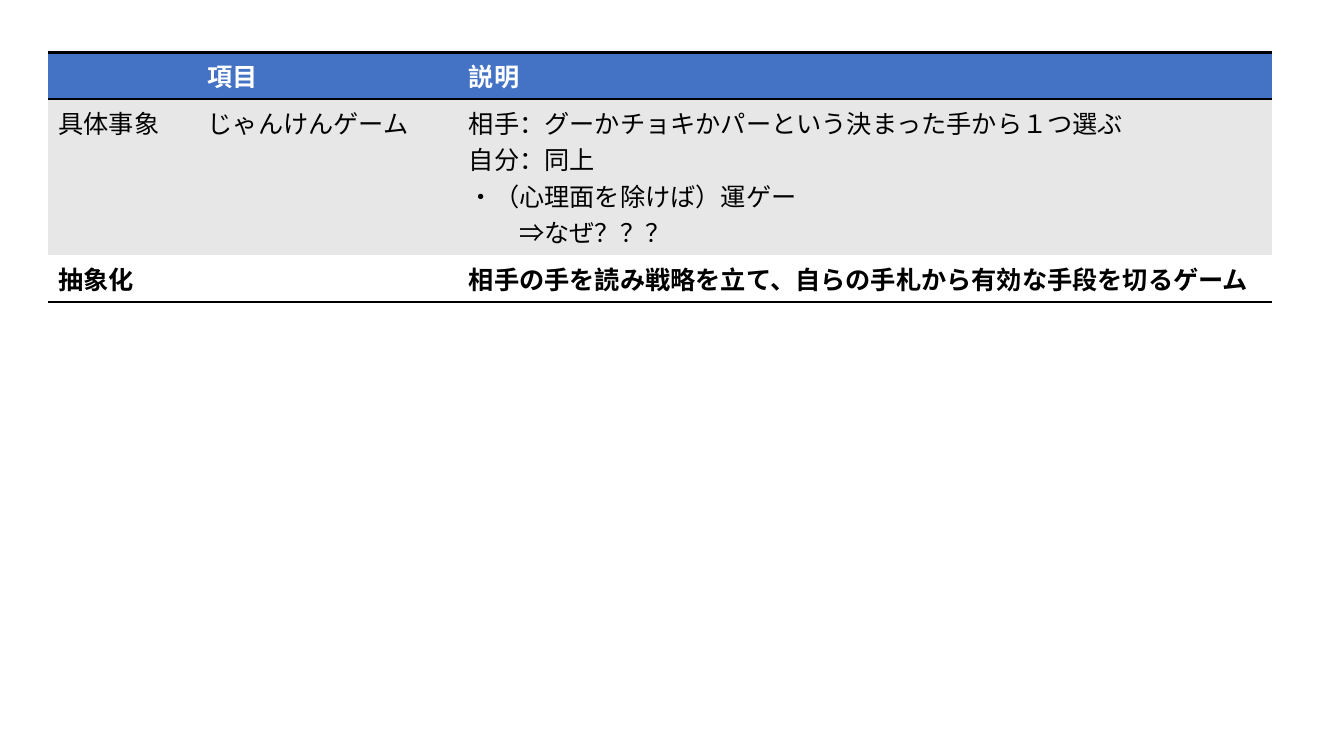
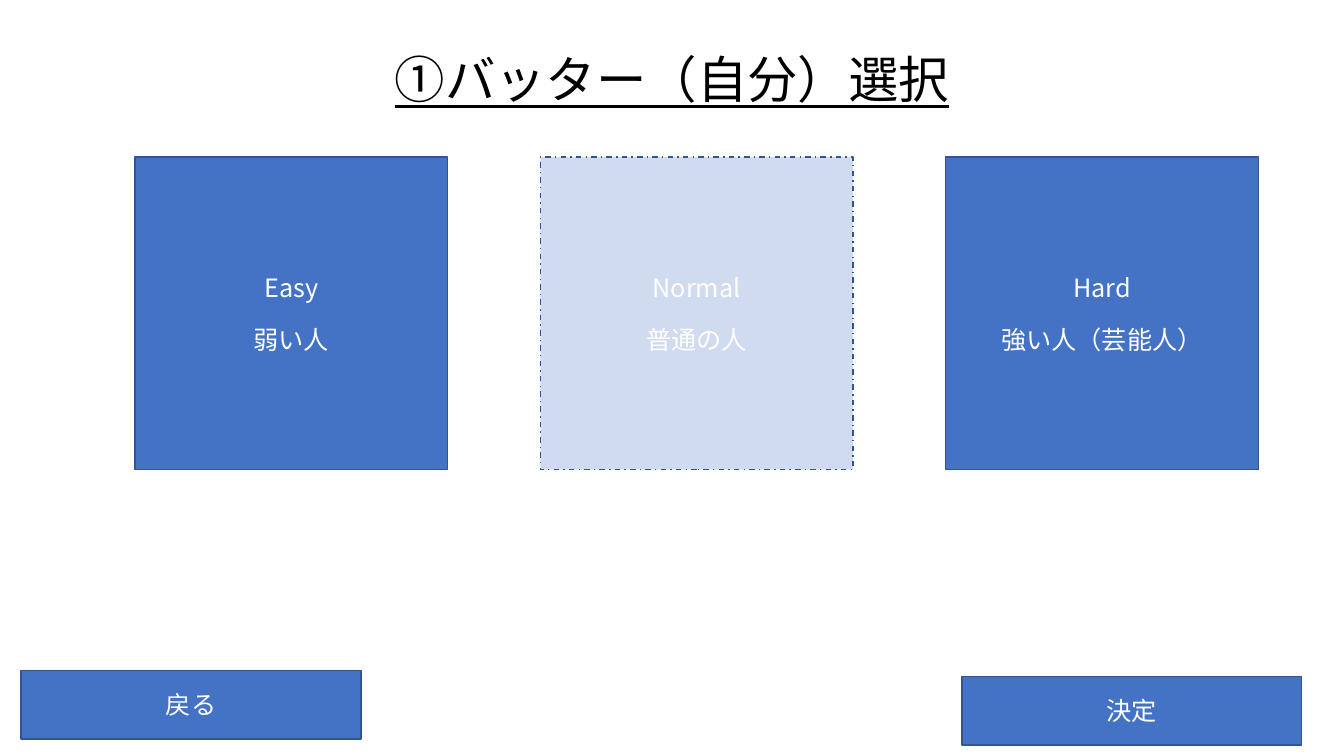
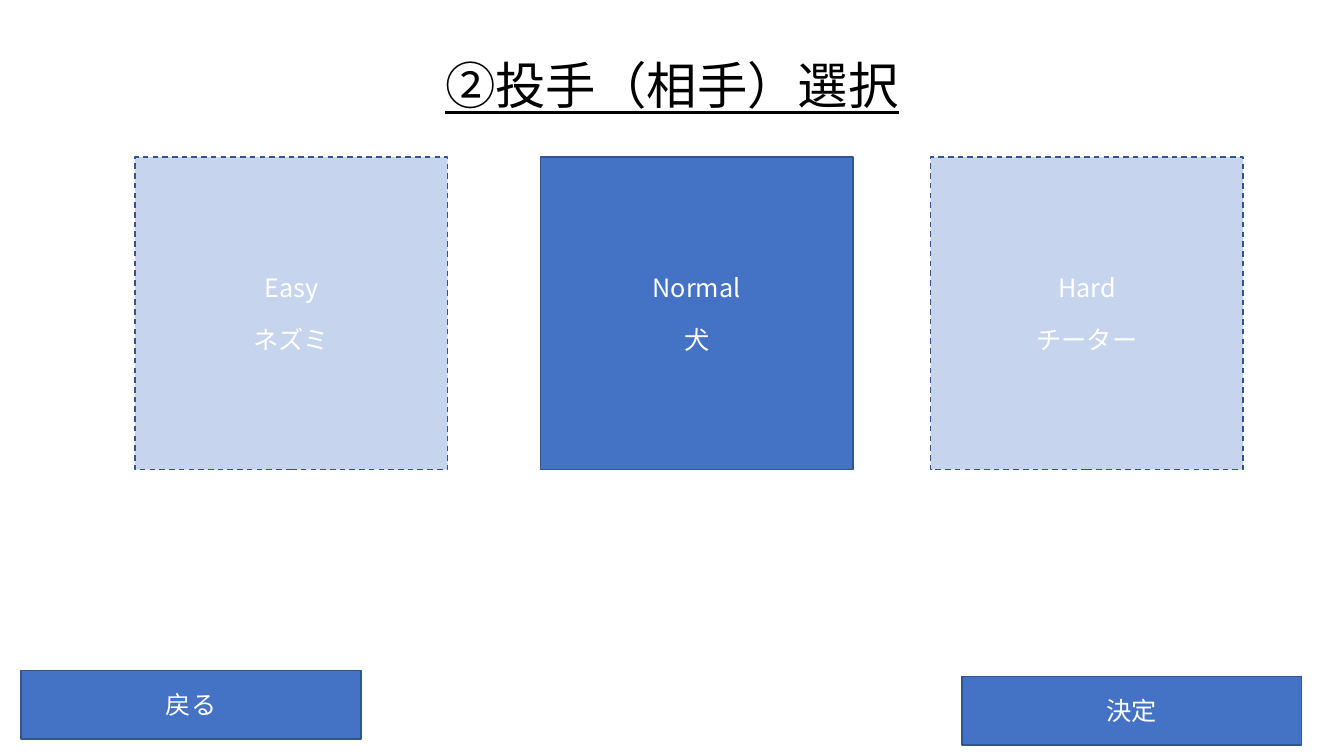
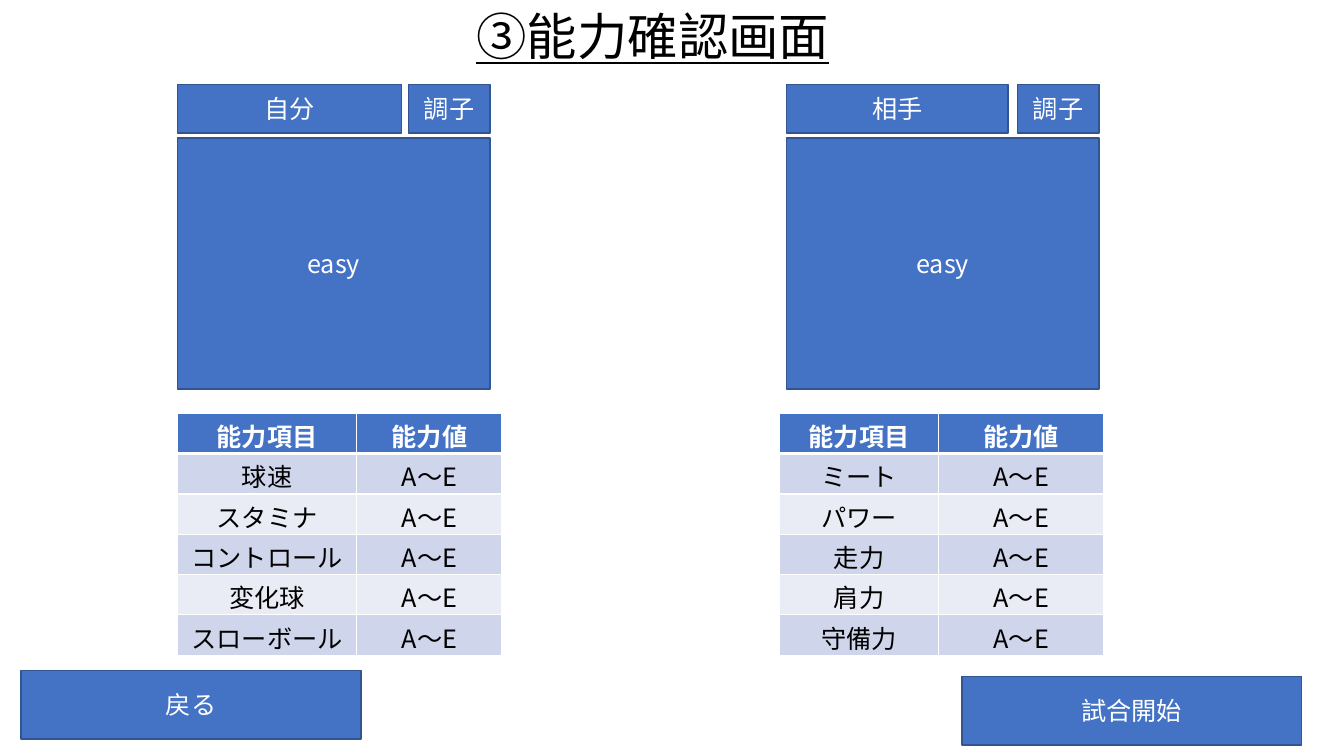
from dataclasses import dataclass

from pptx import Presentation
from pptx.dml.color import RGBColor
from pptx.enum.dml import MSO_LINE_DASH_STYLE as Dash
from pptx.enum.shapes import MSO_SHAPE as Preset
from pptx.enum.text import MSO_ANCHOR as Anchor, MSO_AUTO_SIZE as AutoSize, PP_ALIGN as Align
from pptx.oxml.ns import qn
from pptx.oxml.xmlchemy import OxmlElement
from pptx.util import Inches, Pt

FONT = "Noto Sans CJK JP"
BLUE = RGBColor(0x44, 0x72, 0xC4)
OUTLINE = RGBColor(0x32, 0x54, 0x91)
BLACK = RGBColor(0, 0, 0)
WHITE = RGBColor(0xFF, 0xFF, 0xFF)
GREY_BAND = RGBColor(0xE7, 0xE7, 0xE7)
BLUE_BAND = RGBColor(0xCF, 0xD5, 0xEA)
PALE_BAND = RGBColor(0xE9, 0xEB, 0xF5)

NO_TABLE_STYLE = "{2D5ABB26-0587-4C30-8999-92F81FD0307C}"
CARD_SIZE = 3.1
CARD_TOP = 1.56
TAG_TOP, TAG_HEIGHT = 0.84, 0.48
CONDITION_WIDTH = 0.81
GRADES = "A～E"


@dataclass(frozen=True)
class Card:
    left: float
    level: str
    character: str
    opacity: int = 100
    dash: Dash | None = None


@dataclass(frozen=True)
class Player:
    left: float
    role: str
    role_width: float
    table_left: float
    columns: tuple[float, float]
    abilities: tuple[str, ...]


@dataclass(frozen=True)
class TableLook:
    """Line widths are in points; 0 means no line."""
    bands: tuple[RGBColor, RGBColor]
    line_color: RGBColor
    outer: float
    header_rule: float
    inner: float
    vertical: float
    align: Align
    margins: tuple[float, float]
    bold_last: bool = False


SUMMARY_LOOK = TableLook((GREY_BAND, WHITE), BLACK, 2, 2, 0, 0, Align.LEFT, (0.05, 0.05), True)
ABILITY_LOOK = TableLook((BLUE_BAND, PALE_BAND), WHITE, 1, 3, 1, 1, Align.CENTER, (0.04, 0))

SUMMARY_ROWS = [
    ("", "項目", "説明"),
    ("具体事象", "じゃんけんゲーム",
     "相手：グーかチョキかパーという決まった手から１つ選ぶ\n自分：同上\n"
     "・（心理面を除けば）運ゲー\n⇒なぜ？？？"),
    ("抽象化", "", "相手の手を読み戦略を立て、自らの手札から有効な手段を切るゲーム"),
]

BATTERS = [
    Card(1.34, "Easy", "弱い人"),
    Card(5.36, "Normal", "普通の人", 25, Dash.DASH_DOT),
    Card(9.38, "Hard", "強い人（芸能人）"),
]
PITCHERS = [
    Card(1.34, "Easy", "ネズミ", 30, Dash.DASH),
    Card(5.36, "Normal", "犬"),
    Card(9.23, "Hard", "チーター", 30, Dash.DASH),
]
PLAYERS = [
    Player(1.76, "自分", 2.22, 1.76, (1.78, 1.44),
           ("球速", "スタミナ", "コントロール", "変化球", "スローボール")),
    Player(7.8, "相手", 2.2, 7.73, (1.58, 1.64),
           ("ミート", "パワー", "走力", "肩力", "守備力")),
]


def format_text(frame, color: RGBColor, size: float = 18, align: Align = Align.CENTER,
                bold: bool = False, underline: bool = False) -> None:
    for paragraph in frame.paragraphs:
        paragraph.alignment = align
        for run in paragraph.runs:
            font = run.font
            font.name, font.size = FONT, Pt(size)
            font.bold, font.underline = bold, underline
            font.color.rgb = color
            east_asian = OxmlElement("a:ea")
            east_asian.set("typeface", FONT)
            font._element.find(qn("a:latin")).addnext(east_asian)


def add_title(slide, text: str, left: float, top: float) -> None:
    box = slide.shapes.add_textbox(Inches(left), Inches(top), Inches(6.67), Inches(0.71))
    frame = box.text_frame
    frame.word_wrap = True
    frame.auto_size = AutoSize.SHAPE_TO_FIT_TEXT
    frame.text = text
    format_text(frame, BLACK, size=36, underline=True)


def add_box(slide, text: str, left: float, top: float, width: float, height: float):
    box = slide.shapes.add_shape(Preset.RECTANGLE, Inches(left), Inches(top),
                                 Inches(width), Inches(height))
    box.shadow.inherit = False
    box.fill.solid()
    box.fill.fore_color.rgb = BLUE
    box.line.color.rgb = OUTLINE
    box.line.width = Pt(1)
    frame = box.text_frame
    frame.word_wrap = True
    frame.vertical_anchor = Anchor.MIDDLE
    frame.text = text
    format_text(frame, WHITE)
    return box


def add_card(slide, card: Card) -> None:
    box = add_box(slide, f"{card.level}\n{card.character}", card.left, CARD_TOP,
                  CARD_SIZE, CARD_SIZE)
    box.text_frame.paragraphs[1].space_before = Pt(16)
    if card.dash is not None:
        box.line.dash_style = card.dash
    if card.opacity < 100:
        alpha = OxmlElement("a:alpha")
        alpha.set("val", str(card.opacity * 1000))
        box._element.spPr.find(qn("a:solidFill")).find(qn("a:srgbClr")).append(alpha)


def add_navigation(slide, forward: str) -> None:
    add_box(slide, forward, 9.54, 6.71, 3.37, 0.68)
    add_box(slide, "戻る", 0.21, 6.65, 3.37, 0.68)


def set_borders(cell, color: RGBColor, widths: dict[str, float]) -> None:
    """Give the sides L, R, T and B, in this order, as the schema wants them."""
    properties = cell._tc.get_or_add_tcPr()
    for position, (side, width) in enumerate(widths.items()):
        line = OxmlElement(f"a:ln{side}")
        line.set("w", str(Pt(width)))
        if width:
            fill = OxmlElement("a:solidFill")
            rgb = OxmlElement("a:srgbClr")
            rgb.set("val", str(color))
            fill.append(rgb)
        else:
            fill = OxmlElement("a:noFill")
        line.append(fill)
        properties.insert(position, line)


def add_table(slide, rows: list[tuple[str, ...]], left: float, top: float,
              columns: tuple[float, ...], heights: list[float], look: TableLook):
    frame = slide.shapes.add_table(len(rows), len(columns), Inches(left), Inches(top),
                                   Inches(sum(columns)), Inches(sum(heights)))
    table = frame.table
    table._tbl.tblPr.find(qn("a:tableStyleId")).text = NO_TABLE_STYLE
    for column, width in zip(table.columns, columns):
        column.width = Inches(width)
    for row, height in zip(table.rows, heights):
        row.height = Inches(height)

    last = len(rows) - 1
    rules = [look.outer, look.header_rule] + [look.inner] * (last - 1) + [look.outer]
    for i, texts in enumerate(rows):
        header = i == 0
        for j, text in enumerate(texts):
            cell = table.cell(i, j)
            cell.margin_top, cell.margin_bottom = map(Inches, look.margins)
            cell.fill.solid()
            cell.fill.fore_color.rgb = BLUE if header else look.bands[(i - 1) % 2]
            set_borders(cell, look.line_color, {"L": look.vertical, "R": look.vertical,
                                                "T": rules[i], "B": rules[i + 1]})
            cell.text_frame.text = text
            format_text(cell.text_frame, WHITE if header else BLACK, align=look.align,
                        bold=header or (look.bold_last and i == last))
    return table


def add_player(slide, player: Player) -> None:
    add_box(slide, "easy", player.left, 1.37, CARD_SIZE, 2.49)
    add_box(slide, player.role, player.left, TAG_TOP, player.role_width, TAG_HEIGHT)
    add_box(slide, "調子", player.left + CARD_SIZE - CONDITION_WIDTH, TAG_TOP,
            CONDITION_WIDTH, TAG_HEIGHT)
    rows = [("能力項目", "能力値")] + [(ability, GRADES) for ability in player.abilities]
    add_table(slide, rows, player.table_left, 4.1, player.columns,
              [0.4] * len(rows), ABILITY_LOOK)


def build_summary(slide) -> None:
    table = add_table(slide, SUMMARY_ROWS, 0.48, 0.52, (1.48, 2.59, 8.07),
                      [0.46, 1.55, 0.46], SUMMARY_LOOK)
    question = table.cell(1, 2).text_frame.paragraphs[-1]
    question._p.get_or_add_pPr().set("marL", str(Inches(0.5)))


def build_selection(slide, title: str, title_top: float, cards: list[Card]) -> None:
    add_title(slide, title, 3.33, title_top)
    for card in cards:
        add_card(slide, card)
    add_navigation(slide, "決定")


def build_ability_check(slide) -> None:
    add_title(slide, "③能力確認画面", 3.14, 0)
    for player in PLAYERS:
        add_player(slide, player)
    add_navigation(slide, "試合開始")


def main() -> None:
    deck = Presentation()
    deck.slide_width, deck.slide_height = Inches(13.33), Inches(7.5)
    blank = deck.slide_layouts[6]
    summary, batters, pitchers, abilities = (deck.slides.add_slide(blank) for _ in range(4))
    build_summary(summary)
    build_selection(batters, "①バッター（自分）選択", 0.43, BATTERS)
    build_selection(pitchers, "②投手（相手）選択", 0.49, PITCHERS)
    build_ability_check(abilities)
    deck.save("out.pptx")


if __name__ == "__main__":
    main()
